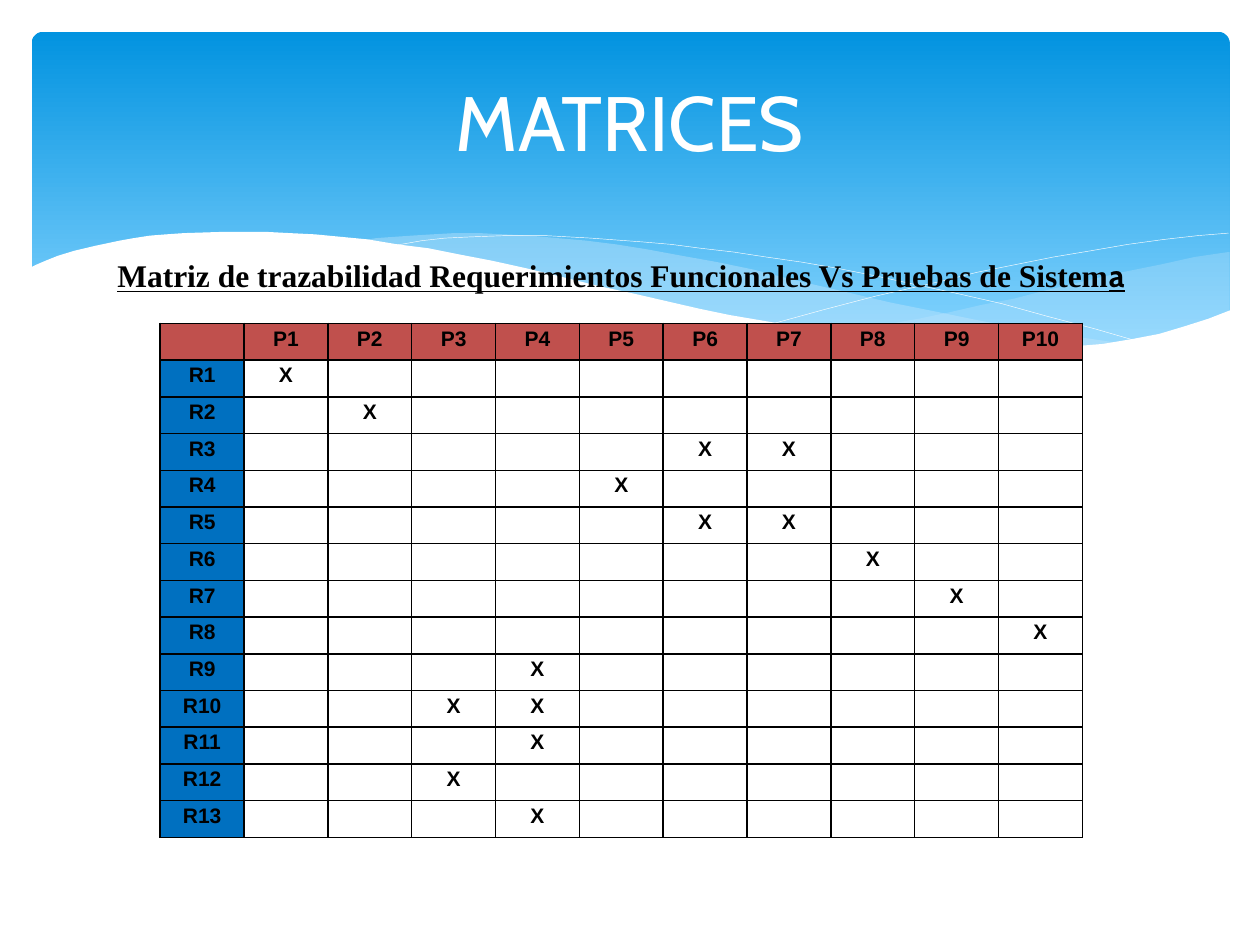
from lxml import etree
from pptx import Presentation
from pptx.dml.color import RGBColor
from pptx.enum.shapes import MSO_SHAPE
from pptx.enum.text import MSO_ANCHOR, MSO_AUTO_SIZE, PP_ALIGN
from pptx.oxml.ns import qn
from pptx.util import Cm, Pt

ROUND = MSO_SHAPE.ROUNDED_RECTANGLE
MID, TOP = MSO_ANCHOR.MIDDLE, MSO_ANCHOR.TOP
CENTER = PP_ALIGN.CENTER
GROW = MSO_AUTO_SIZE.SHAPE_TO_FIT_TEXT

THEME = {
    "sky": "0293E0", "pale": "83D3FE", "mist": "C6E7FC",
    "white": "FFFFFF", "ink": "000000", "head": "C0504D", "side": "0070C0",
    "title": 44, "sub": 18, "cell": 12,
    "sans": "Cabin", "serif": "Times New Roman", "grid": "Arial",
}


def write(para, text, size="cell", font="grid", color="ink", bold=False,
          under=False, space=None, after=None):
    para.alignment = CENTER
    para.line_spacing = space
    if after is not None:
        para.space_after = Pt(after)
    run = para.add_run()
    run.text = text
    run.font.size = Pt(THEME[size])
    run.font.name = THEME[font]
    run.font.bold = bold
    run.font.underline = under
    run.font.color.rgb = RGBColor.from_string(THEME[color])


def wave(points, fill=None, alpha=100, line=None):
    pen = shapes.build_freeform(*points[0], scale=Cm(0.0254))
    pen.add_line_segments(points[1:], close=fill is not None)
    form = pen.convert_to_shape()
    form.shadow.inherit = False
    if fill:
        form.fill.solid()
        form.fill.fore_color.rgb = RGBColor.from_string(THEME[fill])
        tint = form.fill._xPr.find(qn("a:solidFill"))[0]
        etree.SubElement(tint, qn("a:alpha"), val=str(alpha * 1000))
    else:
        form.fill.background()
    if line:
        form.line.color.rgb = RGBColor.from_string(THEME[line])
        form.line.width = Pt(0.25)
    else:
        form.line.fill.background()


prs = Presentation()
prs.slide_width, prs.slide_height = Cm(25.4), Cm(19.05)
slide = prs.slides.add_slide(prs.slide_layouts[5])
shapes = slide.shapes

band = shapes.add_shape(ROUND, Cm(0.64), Cm(0.64), Cm(24.15), Cm(6.86))
band.adjustments[0] = 0.034
band.shadow.inherit = False
band.line.fill.background()
band.fill.gradient()
band.fill.gradient_angle = 270
for stop, name, pos in zip(band.fill.gradient_stops, ("sky", "pale"), (0, 0.9)):
    stop.color.rgb = RGBColor.from_string(THEME[name])
    stop.position = pos

wave([(975, 200), (948, 204), (921, 210), (891, 216), (861, 223), (832, 230),
      (805, 237), (779, 242), (753, 248), (729, 253), (706, 257), (683, 262),
      (661, 265), (691, 269), (719, 272), (745, 275), (769, 277), (792, 277),
      (814, 278), (835, 277), (854, 276), (872, 274), (889, 272), (905, 269),
      (921, 265), (935, 262), (949, 257), (963, 252), (976, 247), (976, 200)],
     fill="mist", alpha=29)
wave([(893, 273), (866, 269), (837, 265), (807, 260), (775, 254), (741, 247),
      (706, 240), (668, 231), (629, 222), (598, 214), (569, 208), (541, 203),
      (514, 198), (489, 194), (465, 191), (442, 189), (420, 187), (399, 186),
      (380, 185), (361, 185), (344, 186), (328, 187), (313, 188), (299, 189),
      (286, 191), (323, 196), (362, 203), (404, 211), (449, 222), (491, 232),
      (530, 240), (566, 248), (601, 255), (634, 261), (665, 266), (695, 270),
      (722, 274), (748, 276), (773, 277), (796, 278), (818, 278), (838, 278),
      (857, 277), (876, 275)], fill="mist", alpha=40)
wave([(309, 195), (318, 194), (335, 191), (353, 189), (374, 188), (401, 187),
      (433, 187), (469, 189), (510, 192), (533, 194), (556, 197), (582, 200),
      (608, 204), (636, 208), (665, 213), (695, 219), (727, 226), (760, 233),
      (795, 241), (831, 251), (869, 261), (907, 272)], line="white")
wave([(613, 257), (653, 246), (695, 235), (748, 223), (776, 216), (806, 210),
      (836, 204), (866, 199), (895, 194), (924, 190), (951, 187), (975, 185)],
     line="white")
wave([(977, 246), (959, 253), (940, 259), (920, 265), (899, 269), (875, 273),
      (850, 275), (823, 277), (809, 277), (778, 276), (744, 274), (708, 270),
      (668, 265), (626, 258), (579, 250), (555, 245), (529, 239), (503, 233),
      (475, 227), (447, 220), (418, 213), (391, 207), (365, 202), (340, 197),
      (316, 194), (292, 190), (271, 188), (250, 186), (230, 185), (211, 184),
      (177, 184), (146, 185), (132, 186), (119, 187), (106, 189), (95, 191),
      (76, 195), (59, 199), (46, 203), (36, 207), (29, 210), (23, 213),
      (23, 329), (977, 329)], fill="white")

title = shapes.title
shapes._spTree.append(title._element)
title.left, title.top, title.width, title.height = Cm(1.27), Cm(0.94), Cm(22.86), Cm(3)
title.text_frame.vertical_anchor = MID
write(title.text_frame.paragraphs[0], "MATRICES", size="title", font="sans",
      color="white")

box = shapes.add_textbox(Cm(1.52), Cm(4.93), Cm(22), Cm(1.14))
box.text_frame.word_wrap = True
box.text_frame.auto_size = GROW
lead = box.text_frame.paragraphs[0]
for text, font in (
    ("Matriz de trazabilidad Requerimientos Funcionales Vs Pruebas de Sistem", "serif"),
    ("a", "sans"),
):
    write(lead, text, size="sub", font=font, bold=True, under=True,
          space=1.15, after=10)

marks = [(1,), (2,), (6, 7), (5,), (6, 7), (8,), (9,), (10,), (4,), (3, 4),
         (4,), (3,), (4,)]
rows, cols = len(marks) + 1, 11
frame = shapes.add_table(rows, cols, Cm(3.23), Cm(6.52), Cm(18.59), Cm(10.38))
table = frame.table
table.first_row = table.horz_banding = False
for col in table.columns:
    col.width = Cm(1.69)
for r, row in enumerate(table.rows):
    row.height = Cm(0.74)
    for c, cell in enumerate(row.cells):
        cell.margin_left = cell.margin_right = Cm(0.18)
        cell.margin_top = cell.margin_bottom = 0
        cell.vertical_anchor = TOP
        for side in ("lnL", "lnR", "lnT", "lnB"):
            edge = etree.SubElement(cell._tc.get_or_add_tcPr(), qn("a:" + side),
                                    w=str(Pt(1)))
            paint = etree.SubElement(edge, qn("a:solidFill"))
            etree.SubElement(paint, qn("a:srgbClr"), val=THEME["ink"])
        if r == 0 or c == 0:
            cell.fill.solid()
            cell.fill.fore_color.rgb = RGBColor.from_string(
                THEME["head" if r == 0 else "side"])
            text = f"P{c}" if c else f"R{r}" if r else ""
        else:
            cell.fill.background()
            text = "X" if c in marks[r - 1] else ""
        para = cell.text_frame.paragraphs[0]
        if text:
            write(para, text, bold=True, space=1.15)
        else:
            etree.SubElement(para._p, qn("a:endParaRPr"),
                             sz=str(THEME["cell"] * 100))

prs.save("out.pptx")
